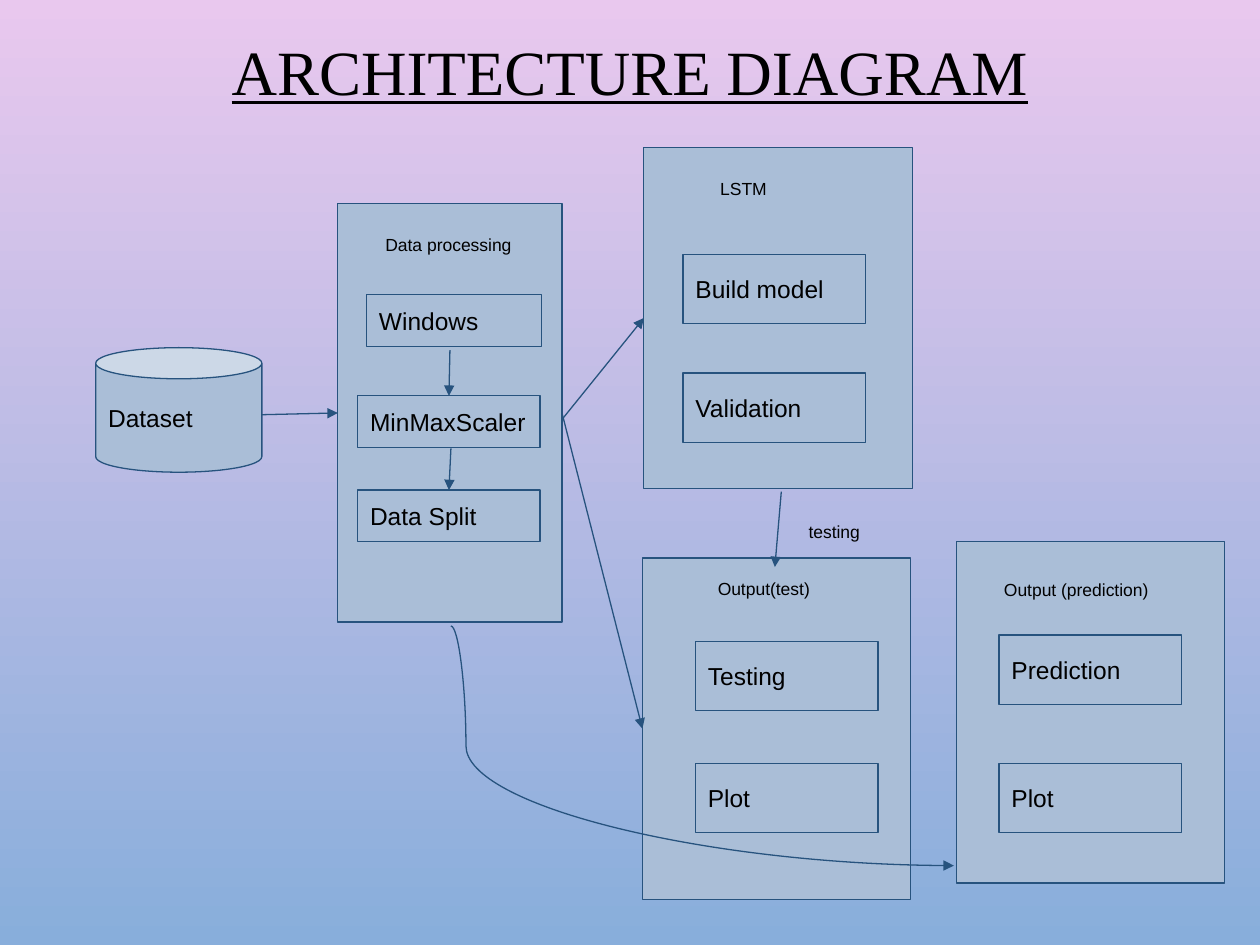
import dataclasses

import pptx
import pptx.dml.color
import pptx.enum.dml
import pptx.enum.shapes
import pptx.enum.text
import pptx.oxml.ns
import pptx.util
from lxml import etree

Cm, Pt = pptx.util.Cm, pptx.util.Pt
KIND = pptx.enum.shapes.MSO_SHAPE
WIRE = pptx.enum.shapes.MSO_CONNECTOR
MID = pptx.enum.text.MSO_ANCHOR.MIDDLE
TOP, LEFT, RIGHT = 0, 1, 3


@dataclasses.dataclass(frozen=True)
class Theme:
    sky: str = "E9C8EE"
    sea: str = "88AEDB"
    fill: str = "AABED7"
    edge: str = "27537E"
    ink: str = "000000"
    serif: str = "Times New Roman"
    sans: str = "Arial"
    head: int = 36
    body: int = 14
    note: int = 10
    line: float = 0.75


THEME = Theme()


def rgb(code):
    return pptx.dml.color.RGBColor.from_string(code)


def paint(slide):
    """Fill the background from top to bottom."""
    fill = slide.background.fill
    fill.gradient()
    fill.gradient_angle = 270
    for stop, code in zip(fill.gradient_stops, (THEME.sky, THEME.sea)):
        stop.color.rgb = rgb(code)


def write(shape, text, size, face=THEME.sans, pad=0.25):
    frame = shape.text_frame
    frame.word_wrap = True
    frame.margin_left = frame.margin_right = Cm(0.25)
    frame.margin_top = frame.margin_bottom = Cm(pad)
    par = frame.paragraphs[0]
    par.text = text
    par.alignment = pptx.enum.text.PP_ALIGN.LEFT
    par.font.size, par.font.name = Pt(size), face
    par.font.color.rgb = rgb(THEME.ink)
    return par


def edge(line):
    line.color.rgb = rgb(THEME.edge)
    line.width = Pt(THEME.line)


def block(slide, x, y, w, h, text="", kind=KIND.RECTANGLE):
    shape = slide.shapes.add_shape(kind, Cm(x), Cm(y), Cm(w), Cm(h))
    shape.shadow.inherit = False
    shape.fill.solid()
    shape.fill.fore_color.rgb = rgb(THEME.fill)
    edge(shape.line)
    if text:
        write(shape, text, THEME.body)
        shape.text_frame.vertical_anchor = MID
    return shape


def label(slide, x, y, w, h, text):
    box = slide.shapes.add_textbox(Cm(x), Cm(y), Cm(w), Cm(h))
    write(box, text, THEME.note)


def title(slide, text):
    box = slide.shapes.add_textbox(Cm(1.9), Cm(-0.69), Cm(21.59), Cm(4.42))
    par = write(box, text, THEME.head, THEME.serif, 0.13)
    par.alignment = pptx.enum.text.PP_ALIGN.CENTER
    par.line_spacing = 0.9
    par.font.underline = True
    box.text_frame.vertical_anchor = MID


def arrow(slide, start, end, goal=None, side=TOP, kind=WIRE.STRAIGHT):
    """Draw an arrow, joined to a side of the goal if there is one."""
    wire = slide.shapes.add_connector(kind, *map(Cm, start + end))
    if goal is not None:
        wire.end_connect(goal, side)
    edge(wire.line)
    qn = pptx.oxml.ns.qn
    tip = etree.SubElement(wire.line._get_or_add_ln(), qn("a:tailEnd"))
    tip.set("type", "triangle")
    etree.SubElement(wire._element.spPr, qn("a:effectLst"))
    return wire


def curve(slide, start, end, bend):
    """Draw a curved arrow that turns at the given share of its width."""
    wire = arrow(slide, start, end, kind=WIRE.CURVE)
    qn = pptx.oxml.ns.qn
    geom = wire._element.spPr.find(qn("a:prstGeom"))
    guides = geom.find(qn("a:avLst"))
    if guides is None:
        guides = etree.SubElement(geom, qn("a:avLst"))
    guide = etree.SubElement(guides, qn("a:gd"))
    guide.set("name", "adj1")
    guide.set("fmla", f"val {round(bend * 100000)}")


def main():
    deck = pptx.Presentation()
    deck.slide_width, deck.slide_height = Cm(25.4), Cm(19.05)
    slide = deck.slides.add_slide(deck.slide_layouts[6])
    paint(slide)
    title(slide, "ARCHITECTURE DIAGRAM")

    block(slide, 1.93, 7.01, 3.35, 2.51, "Dataset", KIND.CAN)
    data = block(slide, 6.81, 4.11, 4.52, 8.43)
    model, test, _ = [
        block(slide, x, y, 5.41, 6.88)
        for x, y in ((12.98, 2.97), (12.95, 11.25), (19.28, 10.92))
    ]

    block(slide, 7.39, 5.94, 3.53, 1.04, "Windows")
    scale = block(slide, 7.21, 7.98, 3.68, 1.04, "MinMaxScaler")
    split = block(slide, 7.21, 9.88, 3.68, 1.04, "Data Split")
    for x, y, text in (
        (13.77, 5.13, "Build model"),
        (13.77, 7.52, "Validation"),
        (14.02, 12.93, "Testing"),
        (14.02, 15.39, "Plot"),
        (20.14, 12.8, "Prediction"),
        (20.14, 15.39, "Plot"),
    ):
        block(slide, x, y, 3.68, 1.4, text)

    for spot in (
        (7.52, 4.5, 3.35, 1.4, "Data processing"),
        (14.27, 3.38, 3.2, 1.4, "LSTM"),
        (14.22, 11.43, 2.77, 0.81, "Output(test)"),
        (19.99, 11.46, 3.84, 0.69, "Output (prediction)"),
        (16.05, 10.29, 2.08, 0.69, "testing"),
    ):
        label(slide, *spot)

    arrow(slide, (9.07, 7.06), (9.05, 7.98), scale)
    arrow(slide, (9.09, 9.04), (9.05, 9.88), split)
    arrow(slide, (5.28, 8.36), (6.81, 8.33), data, LEFT)
    arrow(slide, (11.35, 8.43), (12.98, 6.41), model, LEFT)
    feed = arrow(slide, (11.33, 8.33), (12.95, 14.69), test, LEFT)
    feed.begin_connect(data, RIGHT)
    arrow(slide, (15.75, 9.91), (15.62, 11.43))
    curve(slide, (9.09, 12.62), (19.23, 17.45), 0.03)

    deck.save("out.pptx")


if __name__ == "__main__":
    main()
